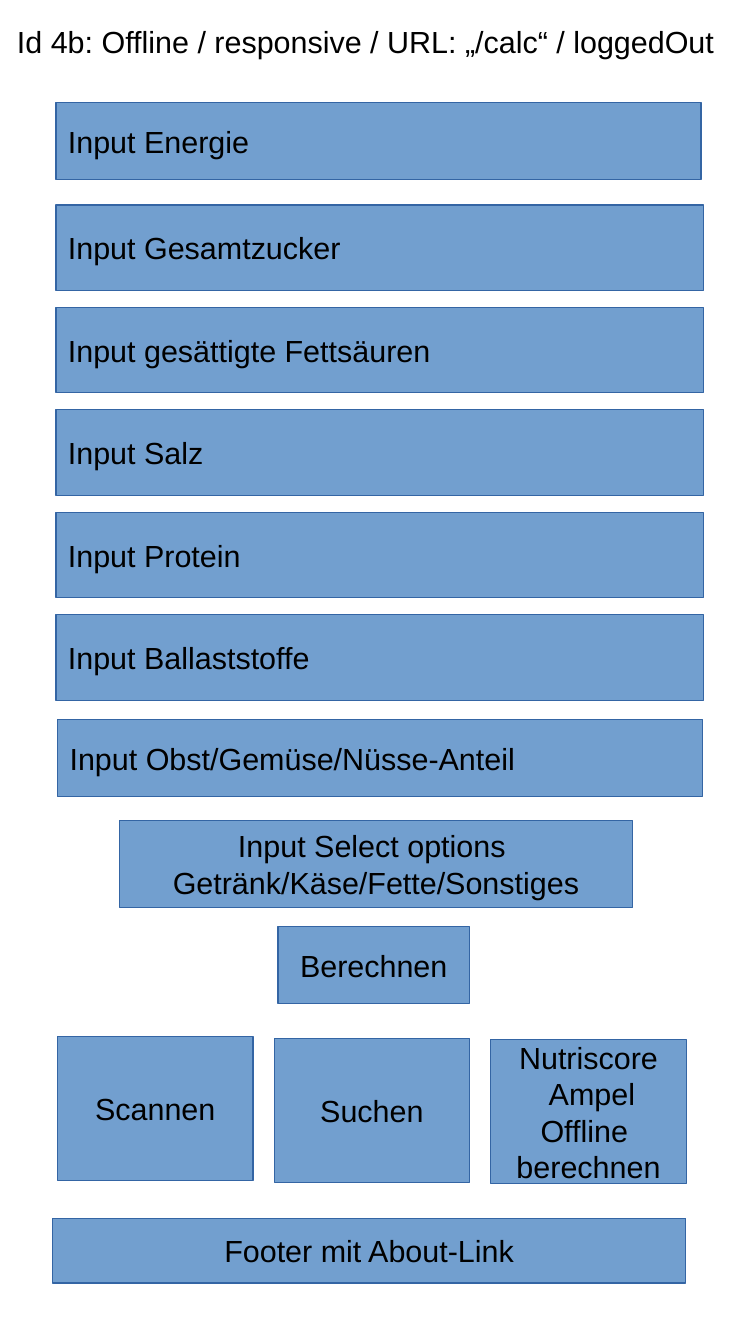
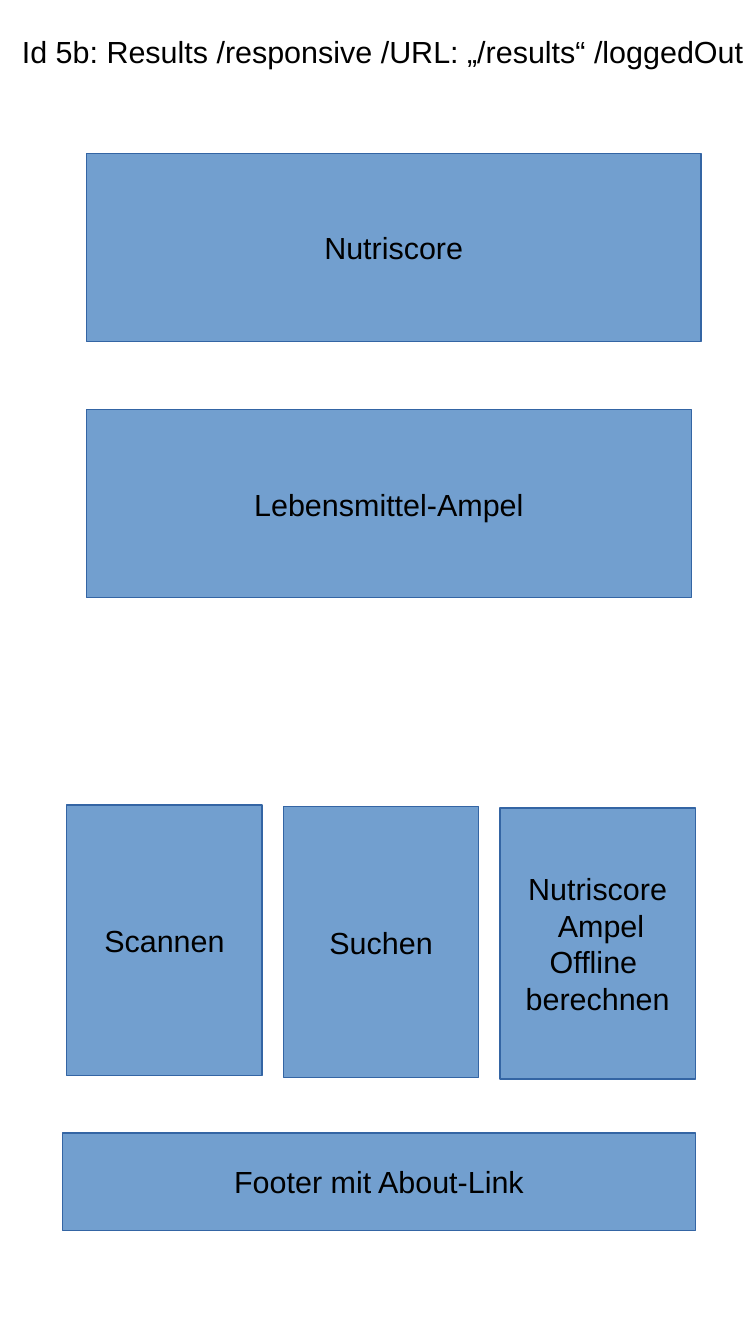
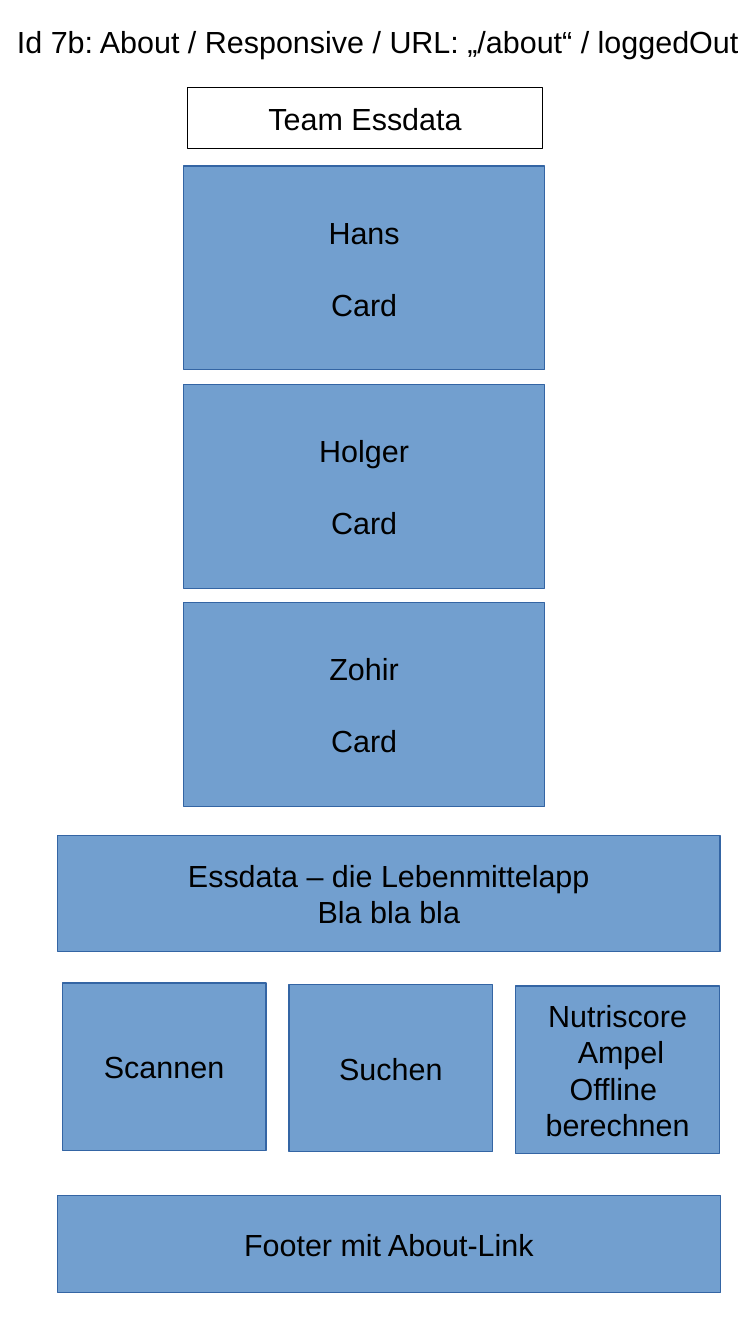
import dataclasses

import pptx
import pptx.dml.color
import pptx.enum.shapes
import pptx.enum.text
import pptx.util

Pt = pptx.util.Pt
Align = pptx.enum.text.PP_ALIGN


@dataclasses.dataclass(frozen=True)
class Theme:
    fill: str = "729FCF"
    line: str = "3465A4"
    ink: str = "000000"
    font: str = "Arial"
    size: float = 18
    hairline: float = 0
    blank_line: float = 21


def colour(value):
    return pptx.dml.color.RGBColor.from_string(value)


class Wireframe:
    """Holds the presentation, its style and the current slide."""

    def __init__(self, theme, width, height):
        self.theme = theme
        self.presentation = pptx.Presentation()
        self.presentation.slide_width = Pt(width)
        self.presentation.slide_height = Pt(height)
        self.slide = None

    def add_slide(self):
        layout = self.presentation.slide_layouts[6]
        self.slide = self.presentation.slides.add_slide(layout)

    def set_text(self, shape, lines, align, anchor, gap=0):
        frame = shape.text_frame
        frame.word_wrap = True
        frame.vertical_anchor = anchor
        frame.text = "\n".join(lines)
        for index, paragraph in enumerate(frame.paragraphs):
            paragraph.alignment = align
            paragraph.space_before = Pt(gap if index else 0)
            paragraph.font.name = self.theme.font
            paragraph.font.size = Pt(self.theme.size)
            paragraph.font.color.rgb = colour(self.theme.ink)

    def title(self, text, left=2.9, top=10.1, width=447.8, height=27.4):
        box = self.slide.shapes.add_textbox(Pt(left), Pt(top), Pt(width), Pt(height))
        self.set_text(box, [text], Align.LEFT, pptx.enum.text.MSO_ANCHOR.TOP)

    def box(self, lines, left, top, width, height, align=Align.CENTER, gap=0, filled=True):
        shape = self.slide.shapes.add_shape(
            pptx.enum.shapes.MSO_SHAPE.RECTANGLE, Pt(left), Pt(top), Pt(width), Pt(height))
        shape.shadow.inherit = False
        if filled:
            shape.fill.solid()
            shape.fill.fore_color.rgb = colour(self.theme.fill)
        else:
            shape.fill.background()
        shape.line.color.rgb = colour(self.theme.line if filled else self.theme.ink)
        shape.line.width = Pt(self.theme.hairline)
        self.set_text(shape, lines, align, pptx.enum.text.MSO_ANCHOR.MIDDLE, gap)

    def field(self, label, left, top, width, height):
        self.box([f"Input {label}"], left, top, width, height, align=Align.LEFT)

    def card(self, name, left, top, width, height):
        self.box([name, "Card"], left, top, width, height, gap=self.theme.blank_line)

    def navigation(self, left, top, width, height, pitch):
        """Three buttons side by side, each slightly lower than the last."""
        buttons = (["Scannen"], ["Suchen"],
                   ["Nutriscore", " Ampel", "Offline ", "berechnen"])
        for index, lines in enumerate(buttons):
            self.box(lines, left + index * pitch, top + index * 0.9, width, height)

    def footer(self, left, top, width, height):
        self.box(["Footer mit About-Link"], left, top, width, height)


def add_calculator(wireframe):
    wireframe.add_slide()
    wireframe.title("Id 4b: Offline / responsive / URL: „/calc“ / loggedOut")

    # Input fields
    wireframe.field("Energie", 33, 60.5, 381, 45.4)
    nutrients = ("Gesamtzucker", "gesättigte Fettsäuren", "Salz", "Protein", "Ballaststoffe")
    for index, label in enumerate(nutrients):
        wireframe.field(label, 33, 121 + index * 60.5, 382.3, 50.4)
    wireframe.field("Obst/Gemüse/Nüsse-Anteil", 34, 424.8, 381, 45.4)

    # Category and calculation
    wireframe.box(["Input Select options ", "Getränk/Käse/Fette/Sonstiges"],
                  70.5, 484.5, 303.2, 51.2)
    wireframe.box(["Berechnen"], 164.2, 547.2, 113, 45.4)

    wireframe.navigation(34, 612, 115.4, 85, 127.9)
    wireframe.footer(31, 719.2, 374, 38.2)


def add_results(wireframe):
    wireframe.add_slide()
    wireframe.title("Id 5b: Results /responsive /URL: „/results“ /loggedOut",
                    5.8, 15.8, 459.4, 47.5)

    # Result panels
    wireframe.box(["Nutriscore"], 51, 90.7, 363, 111)
    wireframe.box(["Lebensmittel-Ampel"], 51, 242, 357.2, 111)

    wireframe.navigation(39.4, 475.2, 115.4, 160, 127.9)
    wireframe.footer(36.7, 668.9, 374.2, 57.6)


def add_about(wireframe):
    wireframe.add_slide()
    wireframe.title("Id 7b: About / Responsive / URL: „/about“ / loggedOut")

    # Team
    wireframe.box(["Team Essdata"], 110.8, 51.8, 209.6, 36, filled=False)
    for index, name in enumerate(("Hans", "Holger", "Zohir")):
        wireframe.card(name, 108.4, 98 + index * 128.9, 213.2, 120.4)

    # Description
    wireframe.box(["Essdata – die Lebenmittelapp", "Bla bla bla"], 34, 493.2, 391.2, 68.4)

    wireframe.navigation(36.7, 580.3, 120.4, 98.8, 133.9)
    wireframe.footer(34, 705.6, 391.4, 57.6)


def main():
    wireframe = Wireframe(Theme(), 446.4, 793.44)
    add_calculator(wireframe)
    add_results(wireframe)
    add_about(wireframe)
    wireframe.presentation.save("out.pptx")


if __name__ == "__main__":
    main()
